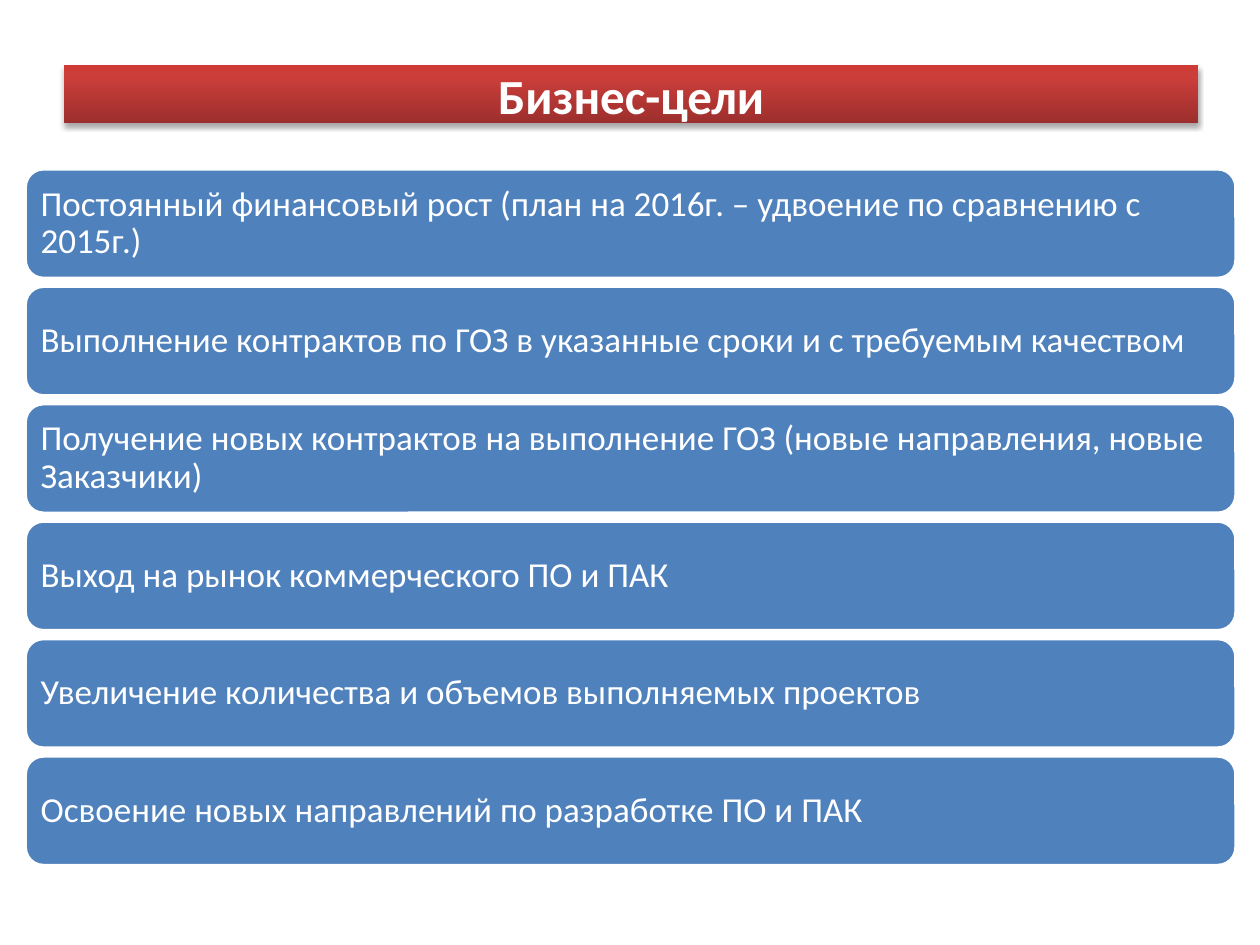
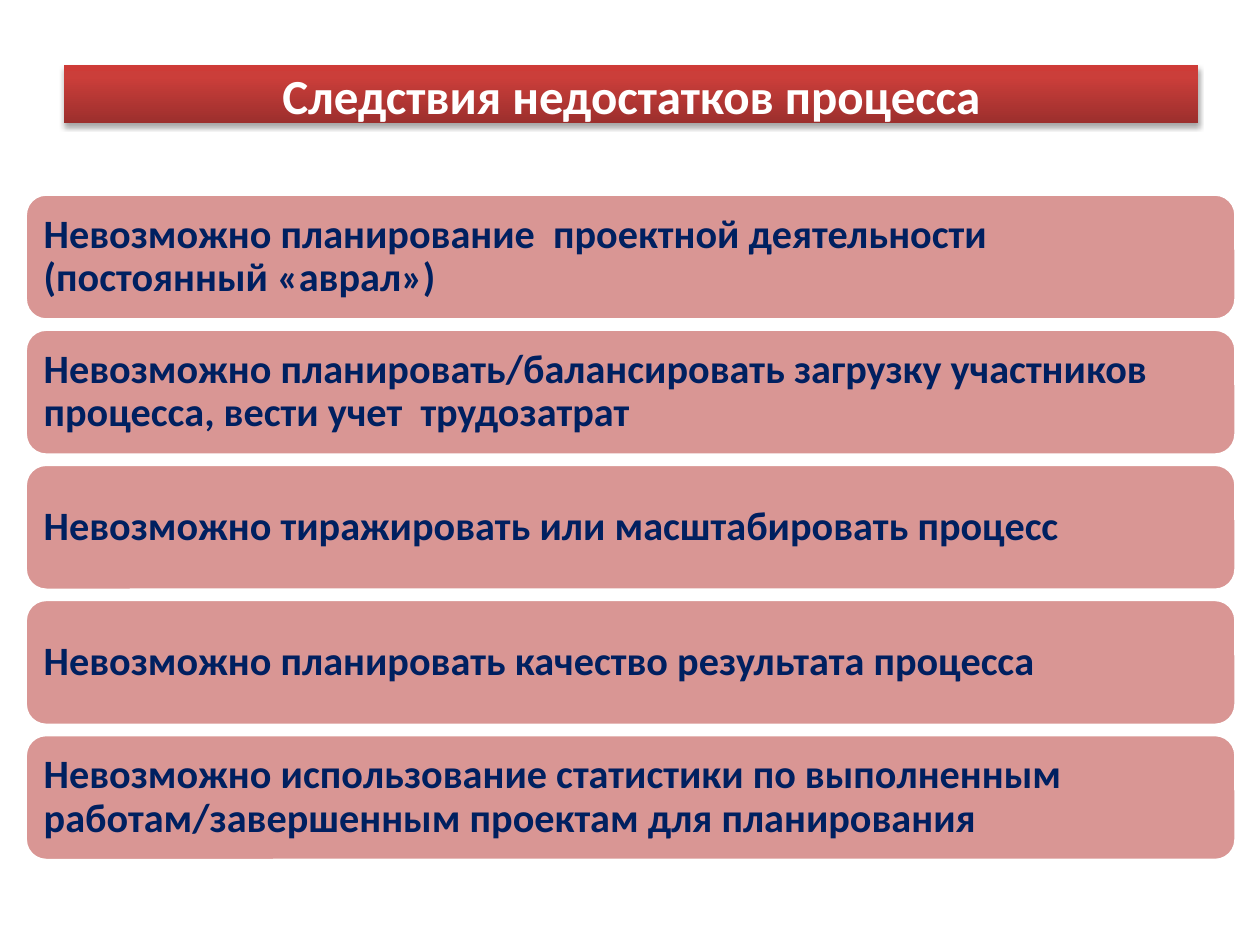
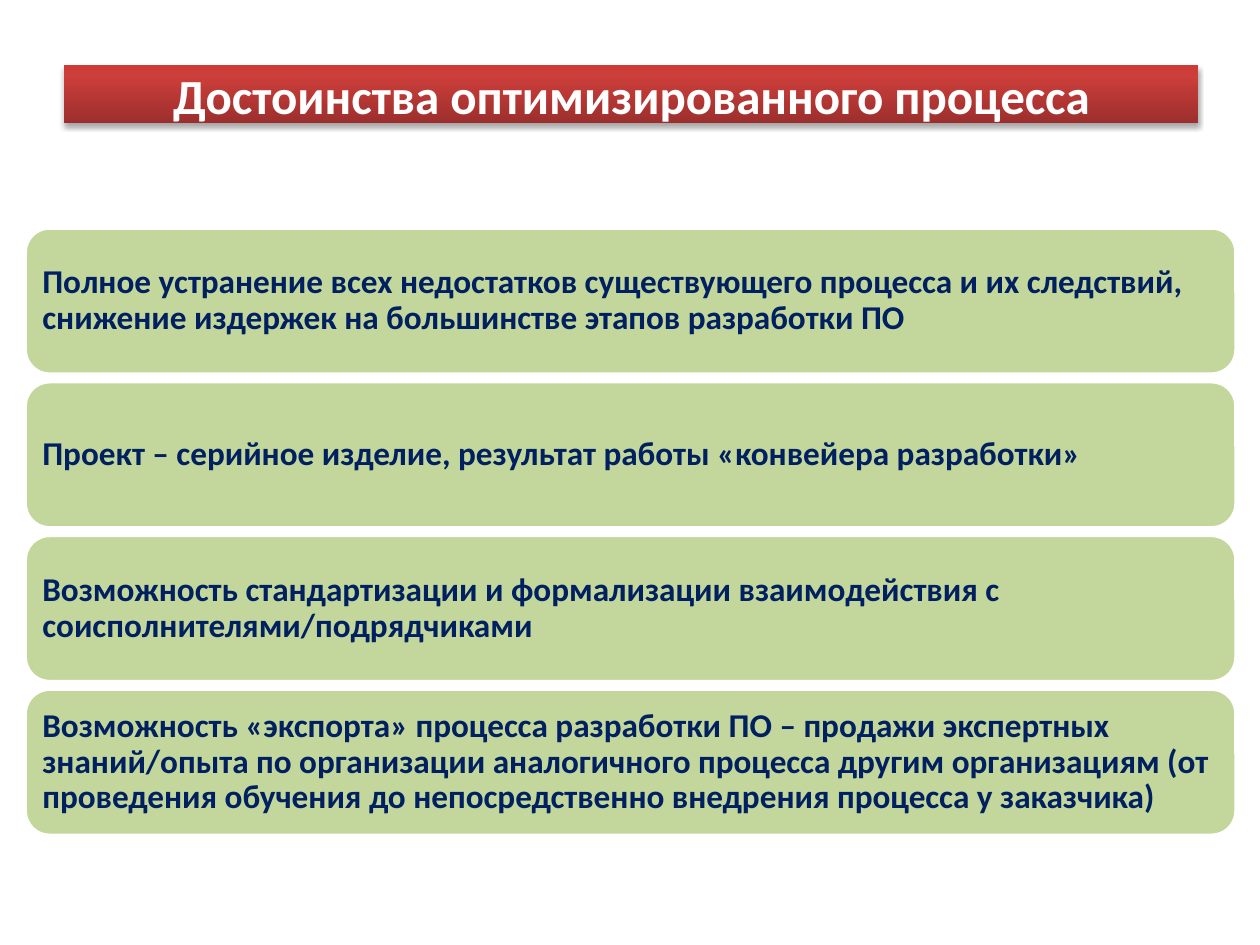
from copy import deepcopy

from lxml.etree import SubElement
from pptx import Presentation
from pptx.dml.color import RGBColor
from pptx.enum.shapes import MSO_SHAPE as SHAPE
from pptx.enum.text import MSO_ANCHOR as ANCHOR, PP_ALIGN as ALIGN
from pptx.oxml.ns import qn
from pptx.util import Inches, Pt

FONT = "Calibri"
WHITE, NAVY = "FFFFFF", "002060"
BLUE, PINK, GREEN = "4F81BD", "D99694", "C3D69B"
BAND_STOPS = [(0, "9C2F2D"), (0.8, "CB3E3A"), (1, "CE3B37")]
BAND_BOX = (0.51, 0.52, 9, 0.46)

SLIDES = [
    dict(
        title="Бизнес-цели",
        box=(0.2, 1.34, 9.61, 5.53), height=0.87, fill=BLUE,
        style=dict(size=20, color=WHITE, inset=0.08),
        items=[
            "Постоянный финансовый рост (план на 2016г. – удвоение по сравнению с 2015г.)",
            "Выполнение контрактов по ГОЗ в указанные сроки и с требуемым качеством",
            "Получение новых контрактов на выполнение ГОЗ (новые направления, новые Заказчики)",
            "Выход на рынок коммерческого ПО и ПАК",
            "Увеличение количества и объемов выполняемых проектов",
            "Освоение новых направлений по разработке ПО и ПАК",
        ],
    ),
    dict(
        title="Следствия недостатков процесса",
        box=(0.2, 1.54, 9.61, 5.29), height=1, fill=PINK,
        style=dict(size=23, color=NAVY, bold=True, inset=0.1),
        items=[
            "Невозможно планирование  проектной деятельности (постоянный «аврал»)",
            "Невозможно планировать/балансировать загрузку участников процесса, "
            "вести учет  трудозатрат",
            "Невозможно тиражировать или масштабировать процесс",
            "Невозможно планировать качество результата процесса",
            "Невозможно использование статистики по выполненным "
            "работам/завершенным проектам для планирования",
        ],
    ),
    dict(
        title="Достоинства оптимизированного процесса",
        box=(0.2, 1.81, 9.61, 4.82), height=1.16, fill=GREEN,
        style=dict(size=19, color=NAVY, bold=True, inset=0.08),
        items=[
            "Полное устранение всех недостатков существующего процесса и их следствий, "
            "снижение издержек на большинстве этапов разработки ПО",
            "Проект – серийное изделие, результат работы «конвейера разработки»",
            "Возможность стандартизации и формализации взаимодействия с "
            "соисполнителями/подрядчиками",
            "Возможность «экспорта» процесса разработки ПО – продажи экспертных "
            "знаний/опыта по организации аналогичного процесса другим организациям "
            "(от проведения обучения до непосредственно внедрения процесса у заказчика)",
        ],
    ),
]


def rgb(color):
    """Turn a hex string into a colour."""
    return RGBColor.from_string(color)


def add_box(s, kind, box):
    """Add a preset shape without a shadow; the box is in inches."""
    sp = s.shapes.add_shape(kind, *map(Inches, box))
    sp.shadow.inherit = False
    return sp


def write(sp, text, size, color, bold=False, align=ALIGN.LEFT, spacing=1.0, inset=None):
    """Write one formatted paragraph in the middle of a shape."""
    tf = sp.text_frame
    tf.word_wrap = True
    tf.vertical_anchor = ANCHOR.MIDDLE
    if inset is not None:
        tf.margin_left = tf.margin_right = tf.margin_top = tf.margin_bottom = Inches(inset)
    p = tf.paragraphs[0]
    p.alignment = align
    p.line_spacing = spacing
    r = p.add_run()
    r.text = text
    r.font.name, r.font.size, r.font.bold = FONT, Pt(size), bold
    r.font.color.rgb = rgb(color)


def fill_gradient(sp, stops, angle):
    """Fill a shape with a linear gradient of any number of stops."""
    sp.fill.gradient()
    sp.fill.gradient_angle = angle
    gs_lst = sp.element.spPr.find(qn("a:gradFill")).find(qn("a:gsLst"))
    while len(gs_lst) < len(stops):
        gs_lst.append(deepcopy(gs_lst[0]))
    for stop, (position, color) in zip(sp.fill.gradient_stops, stops):
        stop.position = position
        stop.color.rgb = rgb(color)


def add_shadow(sp, blur, distance, opacity):
    """Give a shape a black shadow that falls straight down."""
    effects = sp.element.spPr.find(qn("a:effectLst"))
    shadow = SubElement(effects, qn("a:outerShdw"), blurRad=str(Pt(blur)),
                        dist=str(Pt(distance)), dir="5400000", rotWithShape="0")
    color = SubElement(shadow, qn("a:srgbClr"), val="000000")
    SubElement(color, qn("a:alpha"), val=str(opacity * 1000))


def add_title_band(s, box, title):
    """Draw the red title band."""
    sp = add_box(s, SHAPE.RECTANGLE, box)
    fill_gradient(sp, BAND_STOPS, 90)
    sp.line.fill.background()
    add_shadow(sp, 3.1, 1.8, 35)
    write(sp, title, size=28, color=WHITE, bold=True, align=ALIGN.CENTER)


def add_cards(s, box, items, height, fill, style):
    """Stack rounded cards with equal gaps from the top to the bottom of the box."""
    left, top, width, total = box
    step = (total - height) / (len(items) - 1)
    for i, item in enumerate(items):
        sp = add_box(s, SHAPE.ROUNDED_RECTANGLE, (left, top + i * step, width, height))
        sp.fill.solid()
        sp.fill.fore_color.rgb = rgb(fill)
        sp.line.color.rgb = rgb(WHITE)
        sp.line.width = Pt(2)
        write(sp, item, spacing=0.9, **style)


def add_list_slide(prs, title, **cards):
    """Add a slide with a title band above a stack of cards."""
    s = prs.slides.add_slide(prs.slide_layouts[6])
    add_title_band(s, BAND_BOX, title)
    add_cards(s, **cards)


def main():
    """Build and save the presentation."""
    prs = Presentation()
    prs.slide_width, prs.slide_height = Inches(10), Inches(7.5)
    for slide in SLIDES:
        add_list_slide(prs, **slide)
    prs.save("out.pptx")


if __name__ == "__main__":
    main()
